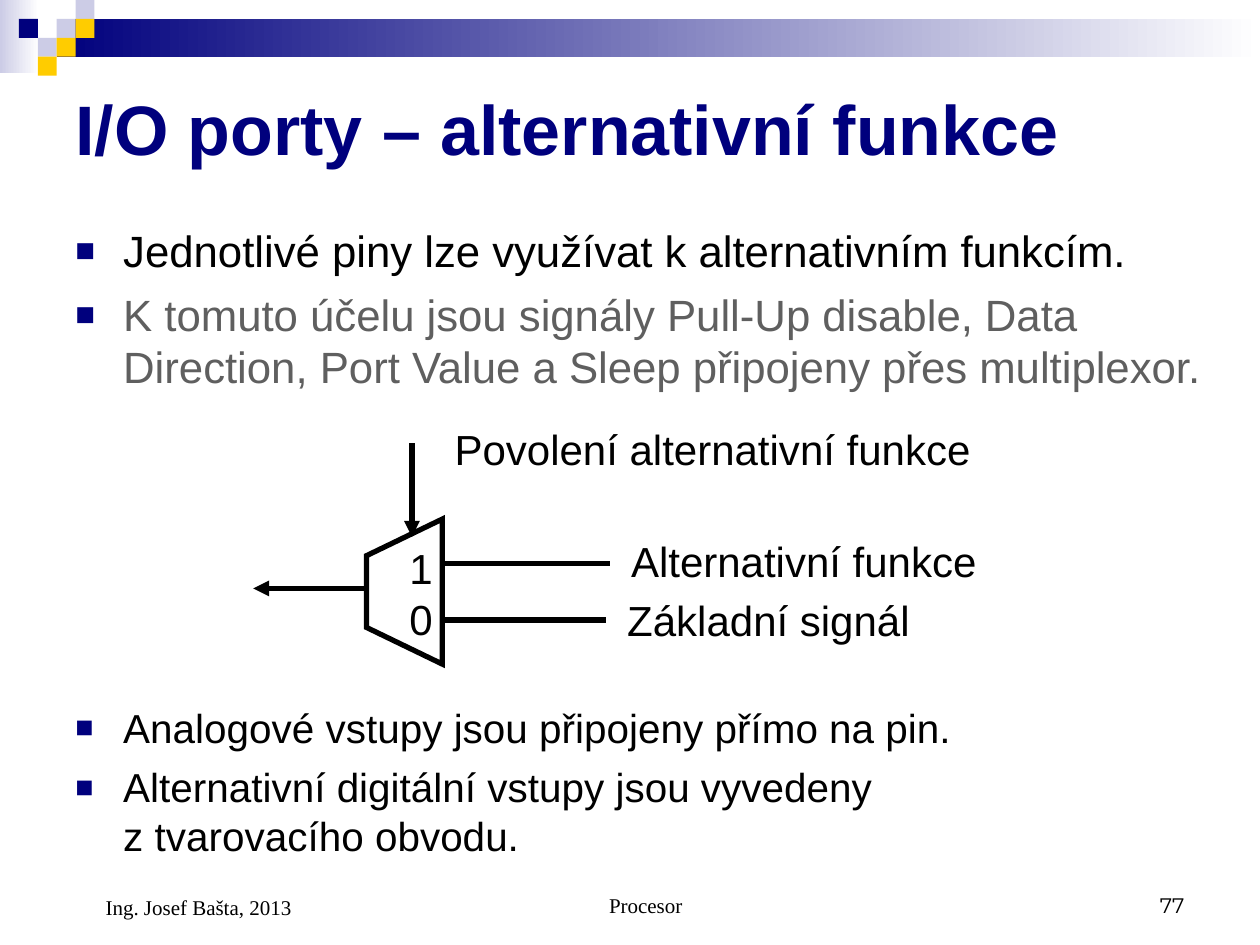
"""Build a slide on alternative functions of I/O ports with a multiplexer diagram."""
import lxml.etree
import pptx
import pptx.dml.color
import pptx.enum.shapes
import pptx.enum.text
import pptx.oxml.ns
import pptx.util

Inches = pptx.util.Inches
Pt = pptx.util.Pt
qn = pptx.oxml.ns.qn
ALIGN = pptx.enum.text.PP_ALIGN
ANCHOR = pptx.enum.text.MSO_ANCHOR

COLORS = {"navy": "00007D", "lilac": "CCCCE6", "gold": "FFCC00",
          "white": "FFFFFF", "black": "000000", "gray": "5F5F5F"}

GRADIENT_BARS = [((0, 0, 0.31, 0.58), "lilac"), ((0.45, 0.15, 9.55, 0.3), "navy")]
TILE = 0.15
TILES = [(3, 1, "lilac"), (4, 0, "lilac"), (4, 1, "gold"), (2, 2, "lilac"),
         (1, 1, "navy"), (3, 2, "gold"), (2, 3, "gold")]

TITLE = "I/O porty – alternativní funkce"
BULLET_LISTS = [
    ((0.5, 1.73, 9.24, 1.5), 25, [
        ("Jednotlivé piny lze využívat k alternativním funkcím.", "black"),
        ("K tomuto účelu jsou signály Pull-Up disable, Data Direction, "
         "Port Value a Sleep připojeny přes multiplexor.", "gray")]),
    ((0.5, 5.53, 9.1, 1.38), 23.1, [
        ("Analogové vstupy jsou připojeny přímo na pin.", "black"),
        ("Alternativní digitální vstupy jsou vyvedeny\nz tvarovacího obvodu.", "black")]),
]

MULTIPLEXER = [(3.51, 4.12), (3.51, 5.27), (2.91, 4.98), (2.91, 4.41)]
WIRES = [((2.89, 4.67), (2.01, 4.67), True), ((3.53, 4.47), (4.84, 4.47), False),
         ((3.5, 4.92), (4.81, 4.92), False), ((3.27, 3.52), (3.27, 4.26), True)]
LABELS = [("Základní signál", (4.88, 4.67, 2.57, 0.5)),
          ("Alternativní funkce", (4.91, 4.2, 3.31, 0.5)),
          ("1\n0", (3.15, 4.26, 0.48, 0.9)),
          ("Povolení alternativní funkce", (3.51, 3.31, 4.46, 0.5))]
FOOTERS = [("Procesor", (3.42, 6.83, 3.17, 0.5), "Times New Roman", ALIGN.CENTER, 0.24),
           ("77", (7.17, 6.83, 2.33, 0.5), "Montserrat", ALIGN.RIGHT, 0),
           ("Ing. Josef Bašta, 2013", (0.5, 6.83, 2.33, 0.52), "Times New Roman",
            ALIGN.LEFT, 0.24)]


def rgb(name):
    return pptx.dml.color.RGBColor.from_string(COLORS[name])


def inches(values):
    return [Inches(value) for value in values]


def add_rectangle(slide, box):
    shape = slide.shapes.add_shape(pptx.enum.shapes.MSO_SHAPE.RECTANGLE, *inches(box))
    shape.shadow.inherit = False
    shape.line.fill.background()
    return shape


def add_gradient_bar(slide, box, color):
    fill = add_rectangle(slide, box).fill
    fill.gradient()
    fill.gradient_angle = 180
    for stop, position, name in zip(fill.gradient_stops, (0, 1), ("white", color)):
        stop.position = position
        stop.color.rgb = rgb(name)


def add_tile(slide, column, row, color):
    fill = add_rectangle(slide, (column * TILE, row * TILE, TILE, TILE)).fill
    fill.solid()
    fill.fore_color.rgb = rgb(color)


def add_frame(slide, box, anchor=ANCHOR.TOP):
    frame = slide.shapes.add_textbox(*inches(box)).text_frame
    frame.word_wrap = True
    frame.vertical_anchor = anchor
    return frame


def style(paragraph, size, color="black", font="Arial", bold=False):
    paragraph.font.size = Pt(size)
    paragraph.font.name = font
    paragraph.font.bold = bold
    paragraph.font.color.rgb = rgb(color)


def add_text(slide, text, box, size, anchor=ANCHOR.TOP, **look):
    paragraph = add_frame(slide, box, anchor).paragraphs[0]
    paragraph.text = text
    style(paragraph, size, **look)
    return paragraph


def indent(paragraph, left, first=0):
    properties = paragraph._p.get_or_add_pPr()
    properties.set("marL", str(Inches(left)))
    properties.set("indent", str(Inches(first)))
    return properties


def add_bullet(paragraph):
    properties = indent(paragraph, 0.38, -0.38)
    color = lxml.etree.SubElement(properties, qn("a:buClr"))
    lxml.etree.SubElement(color, qn("a:srgbClr"), val=COLORS["navy"])
    lxml.etree.SubElement(properties, qn("a:buSzPct"), val="75000")
    lxml.etree.SubElement(properties, qn("a:buFont"), typeface="Arial")
    lxml.etree.SubElement(properties, qn("a:buChar"), char="■")


def add_bullet_list(slide, box, size, items):
    frame = add_frame(slide, box)
    for index, (text, color) in enumerate(items):
        paragraph = frame.add_paragraph() if index else frame.paragraphs[0]
        paragraph.text = text
        if index:
            paragraph.space_before = Pt(6.2)
        add_bullet(paragraph)
        style(paragraph, size, color)


def draw_line(line):
    line.color.rgb = rgb("black")
    line.width = Pt(3)


def add_multiplexer(slide):
    start, *others = [tuple(inches(point)) for point in MULTIPLEXER]
    builder = slide.shapes.build_freeform(*start)
    builder.add_line_segments(others, close=True)
    shape = builder.convert_to_shape()
    shape.shadow.inherit = False
    shape.fill.solid()
    shape.fill.fore_color.rgb = rgb("white")
    draw_line(shape.line)
    lxml.etree.SubElement(shape.line._get_or_add_ln(), qn("a:miter"), lim="800000")


def add_wire(slide, start, end, arrow):
    wire = slide.shapes.add_connector(
        pptx.enum.shapes.MSO_CONNECTOR.STRAIGHT, *inches(start + end))
    draw_line(wire.line)
    if arrow:
        lxml.etree.SubElement(wire.line._get_or_add_ln(), qn("a:tailEnd"), type="triangle")
    lxml.etree.SubElement(wire._element.spPr, qn("a:effectLst"))


def main():
    presentation = pptx.Presentation()
    presentation.slide_width = Inches(10)
    presentation.slide_height = Inches(7.5)
    slide = presentation.slides.add_slide(presentation.slide_layouts[6])

    for box, color in GRADIENT_BARS:
        add_gradient_bar(slide, box, color)
    for tile in TILES:
        add_tile(slide, *tile)
    add_text(slide, TITLE, (0.5, 0.5, 9, 1.03), 40, ANCHOR.MIDDLE, color="navy", bold=True)
    for bullet_list in BULLET_LISTS:
        add_bullet_list(slide, *bullet_list)
    add_multiplexer(slide)
    for wire in WIRES:
        add_wire(slide, *wire)
    for text, box in LABELS:
        add_text(slide, text, box, 24)
    for text, box, font, alignment, left in FOOTERS:
        paragraph = add_text(slide, text, box, 12, ANCHOR.BOTTOM, font=font)
        paragraph.alignment = alignment
        indent(paragraph, left)

    presentation.save("out.pptx")


if __name__ == "__main__":
    main()
